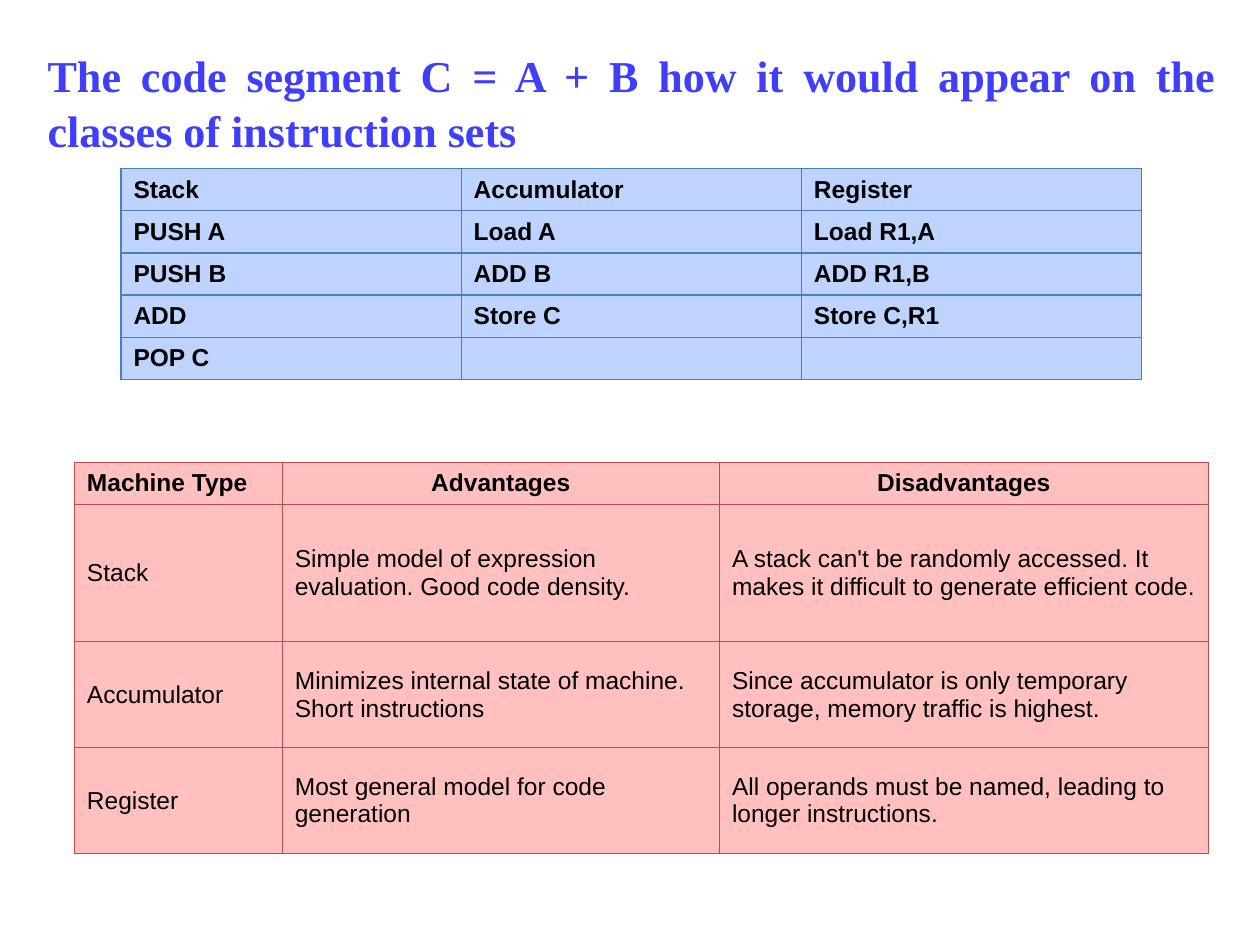
"""Build a slide comparing stack, accumulator and register instruction sets."""
import pptx
import pptx.dml.color
import pptx.enum.text
import pptx.oxml.ns
import pptx.util
from lxml import etree

Inches, Pt = pptx.util.Inches, pptx.util.Pt
PP_ALIGN, MIDDLE = pptx.enum.text.PP_ALIGN, pptx.enum.text.MSO_ANCHOR.MIDDLE
COLORS = {
    "title": "3E3EFC", "text": "000000",
    "blue": "BFD3FF", "blue_line": "4B7EBC",
    "red": "FFC0BF", "red_line": "BF4C48",
}
TITLE = "The code segment C = A + B how it would appear on the classes of instruction sets"
CODE = {
    "at": (0.96, 1.34), "cols": [2.7] * 3, "rows": [0.32] * 4 + [0.33],
    "color": "blue", "bold_rows": 5, "centred": [],
    "cells": [
        ("Stack", "Accumulator", "Register"),
        ("PUSH A", "Load A", "Load R1,A"),
        ("PUSH B", "ADD B", "ADD R1,B"),
        ("ADD", "Store C", "Store C,R1"),
        ("POP C", "", ""),
    ],
}
MACHINES = {
    "at": (0.59, 3.67), "cols": [1.65, 3.47, 3.88], "rows": [0.33, 1.09, 0.84, 0.84],
    "color": "red", "bold_rows": 1, "centred": [(0, 1), (0, 2)],
    "cells": [
        ("Machine Type", "Advantages", "Disadvantages"),
        ("Stack", "Simple model of expression evaluation. Good code density.",
         "A stack can't be randomly accessed. It makes it difficult to generate efficient code."),
        ("Accumulator", "Minimizes internal state of machine. Short instructions",
         "Since accumulator is only temporary storage, memory traffic is highest."),
        ("Register", "Most general model for code generation",
         "All operands must be named, leading to longer instructions."),
    ],
}


def rgb(name):
    return pptx.dml.color.RGBColor.from_string(COLORS[name])


def format_run(r, font, size, color, bold):
    r.font.name, r.font.size, r.font.bold = font, Pt(size), bold
    r.font.color.rgb = rgb(color)


def add_borders(cell, color):
    qn = pptx.oxml.ns.qn
    tcPr = cell._tc.get_or_add_tcPr()
    for side in ("lnL", "lnR", "lnT", "lnB"):
        ln = etree.SubElement(tcPr, qn(f"a:{side}"), w=str(Pt(0.75)))
        fill = etree.SubElement(ln, qn("a:solidFill"))
        etree.SubElement(fill, qn("a:srgbClr"), val=COLORS[color])


def add_grid(slide, data):
    cols, rows = data["cols"], data["rows"]
    left, top = data["at"]
    table = slide.shapes.add_table(
        len(rows), len(cols), Inches(left), Inches(top),
        Inches(sum(cols)), Inches(sum(rows))).table
    table.horz_banding = False
    for column, width in zip(table.columns, cols):
        column.width = Inches(width)
    for i, height in enumerate(rows):
        table.rows[i].height = Inches(height)
        for j, text in enumerate(data["cells"][i]):
            cell = table.cell(i, j)
            cell.text_frame.text = text
            cell.vertical_anchor = MIDDLE
            add_borders(cell, data["color"] + "_line")
            cell.fill.solid()
            cell.fill.fore_color.rgb = rgb(data["color"])
            p = cell.text_frame.paragraphs[0]
            if (i, j) in data["centred"]:
                p.alignment = PP_ALIGN.CENTER
            for r in p.runs:
                format_run(r, "Arial", 14, "text", i < data["bold_rows"])
            if not text:
                etree.SubElement(p._p, pptx.oxml.ns.qn("a:endParaRPr"), sz="1400")


def main():
    prs = pptx.Presentation()
    prs.slide_width, prs.slide_height = Inches(10), Inches(7.5)
    slide = prs.slides.add_slide(prs.slide_layouts[6])
    tf = slide.shapes.add_textbox(
        Inches(0.28), Inches(0.29), Inches(9.47), Inches(1.02)).text_frame
    tf.word_wrap, tf.vertical_anchor = True, MIDDLE
    tf.text = TITLE
    p = tf.paragraphs[0]
    p.alignment, p.line_spacing = PP_ALIGN.JUSTIFY, 1.05
    format_run(p.runs[0], "Times New Roman", 25.2, "title", True)
    for data in (CODE, MACHINES):
        add_grid(slide, data)
    prs.save("out.pptx")


if __name__ == "__main__":
    main()
